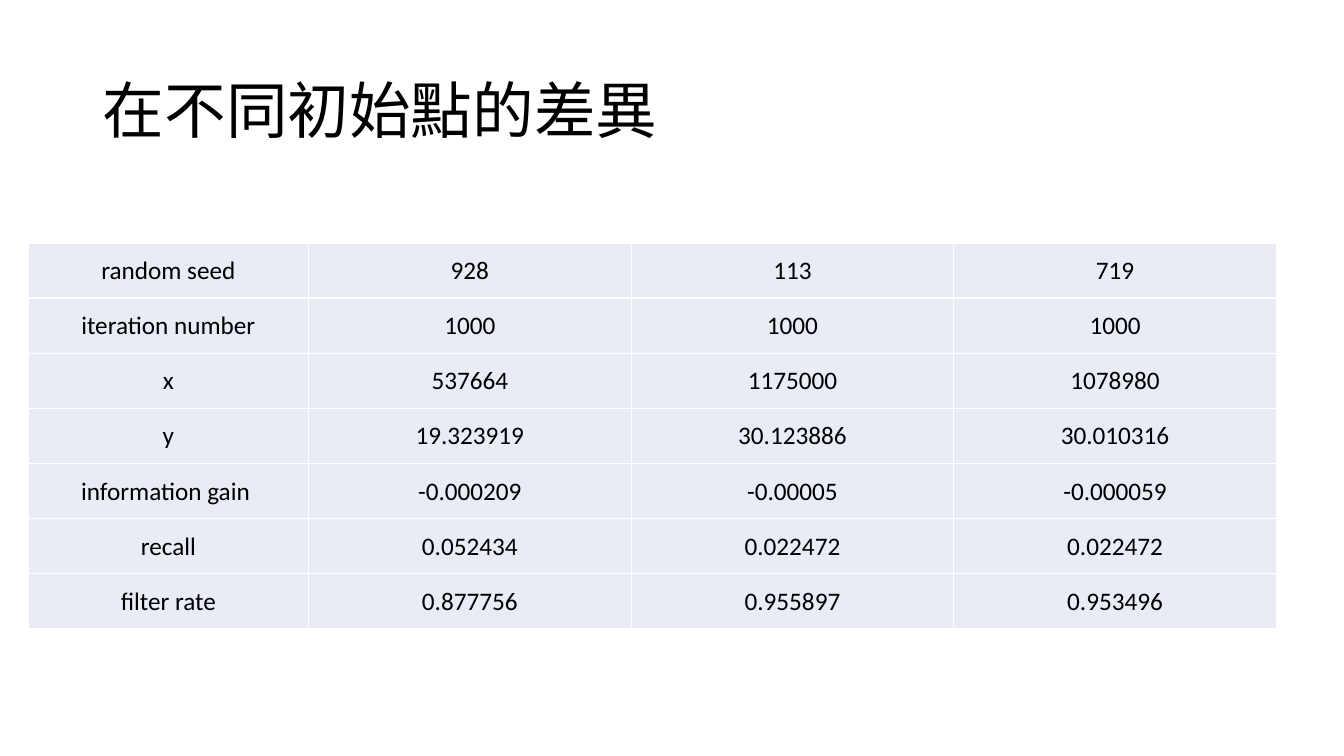
from dataclasses import dataclass

from lxml.etree import SubElement
from pptx import Presentation
from pptx.dml.color import RGBColor
from pptx.enum.text import MSO_ANCHOR, MSO_AUTO_SIZE, PP_ALIGN
from pptx.oxml.ns import qn
from pptx.util import Inches, Pt


@dataclass(frozen=True)
class Theme:
    font: str = "Calibri"
    ink: str = "000000"
    cell: str = "E9EBF5"
    border: str = "FFFFFF"
    title_size: int = 44
    cell_size: int = 18
    border_width: int = 1


THEME = Theme()
SLIDE_WIDTH, SLIDE_HEIGHT = 13.33, 7.5
TITLE_ONLY = 5

# Table grid, in inches
TABLE_LEFT, TABLE_TOP = 0.28, 2.41
COLUMN_WIDTHS = [2.78] + [3.2] * 3
TABLE_HEIGHT = 3.83

RESULTS = [
    ("random seed", "928", "113", "719"),
    ("iteration number", "1000", "1000", "1000"),
    ("x", "537664", "1175000", "1078980"),
    ("y", "19.323919", "30.123886", "30.010316"),
    ("information gain ", "-0.000209", "-0.00005", "-0.000059"),
    ("recall", "0.052434", "0.022472", "0.022472"),
    ("filter rate", "0.877756", "0.955897", "0.953496"),
]


def format_text(frame, size, alignment):
    for para in frame.paragraphs:
        para.alignment = alignment
        for span in para.runs:
            span.font.name = THEME.font
            span.font.size = Pt(size)
            span.font.color.rgb = RGBColor.from_string(THEME.ink)


def add_title(page, text):
    title = page.shapes.title
    title.left, title.top = Inches(0.92), Inches(0.4)
    title.width, title.height = Inches(11.5), Inches(1.45)
    frame = title.text_frame
    frame.text = text
    frame.auto_size = MSO_AUTO_SIZE.NONE
    frame.vertical_anchor = MSO_ANCHOR.MIDDLE
    frame.paragraphs[0].line_spacing = 0.9
    format_text(frame, THEME.title_size, PP_ALIGN.LEFT)
    # East Asian glyphs use the same font
    for span in frame.paragraphs[0].runs:
        SubElement(span.font._element, qn("a:ea"), typeface=THEME.font)


def add_borders(cell):
    properties = cell._tc.get_or_add_tcPr()
    for side in ("a:lnL", "a:lnR", "a:lnT", "a:lnB"):
        line = SubElement(properties, qn(side), w=str(Pt(THEME.border_width)))
        fill = SubElement(line, qn("a:solidFill"))
        SubElement(fill, qn("a:srgbClr"), val=THEME.border)


def fill_cell(cell, text):
    cell.text = text
    cell.vertical_anchor = MSO_ANCHOR.MIDDLE
    cell.margin_left = cell.margin_right = cell.margin_top = Inches(0.01)
    cell.margin_bottom = 0
    # Borders come before the fill in the cell's XML
    add_borders(cell)
    cell.fill.solid()
    cell.fill.fore_color.rgb = RGBColor.from_string(THEME.cell)
    format_text(cell.text_frame, THEME.cell_size, PP_ALIGN.CENTER)


def add_results_table(page, rows):
    table = page.shapes.add_table(
        len(rows), len(COLUMN_WIDTHS), Inches(TABLE_LEFT), Inches(TABLE_TOP),
        Inches(sum(COLUMN_WIDTHS)), Inches(TABLE_HEIGHT)).table
    table.first_row = table.horz_banding = False
    for column, width in zip(table.columns, COLUMN_WIDTHS):
        column.width = Inches(width)
    for row, values in zip(table.rows, rows):
        for cell, value in zip(row.cells, values):
            fill_cell(cell, value)


def main():
    deck = Presentation()
    deck.slide_width, deck.slide_height = Inches(SLIDE_WIDTH), Inches(SLIDE_HEIGHT)
    page = deck.slides.add_slide(deck.slide_layouts[TITLE_ONLY])
    add_title(page, "在不同初始點的差異")
    add_results_table(page, RESULTS)
    deck.save("out.pptx")


if __name__ == "__main__":
    main()
